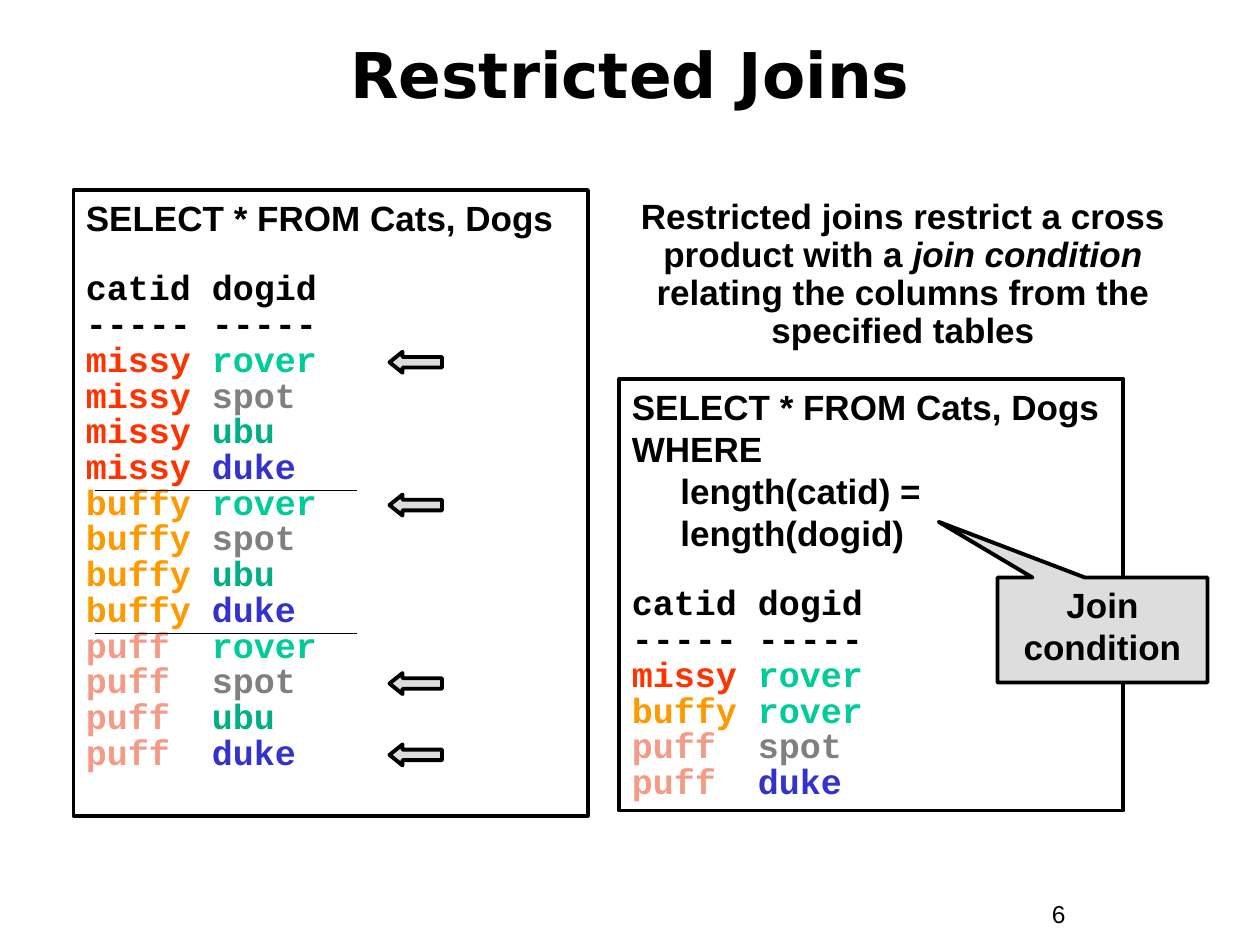
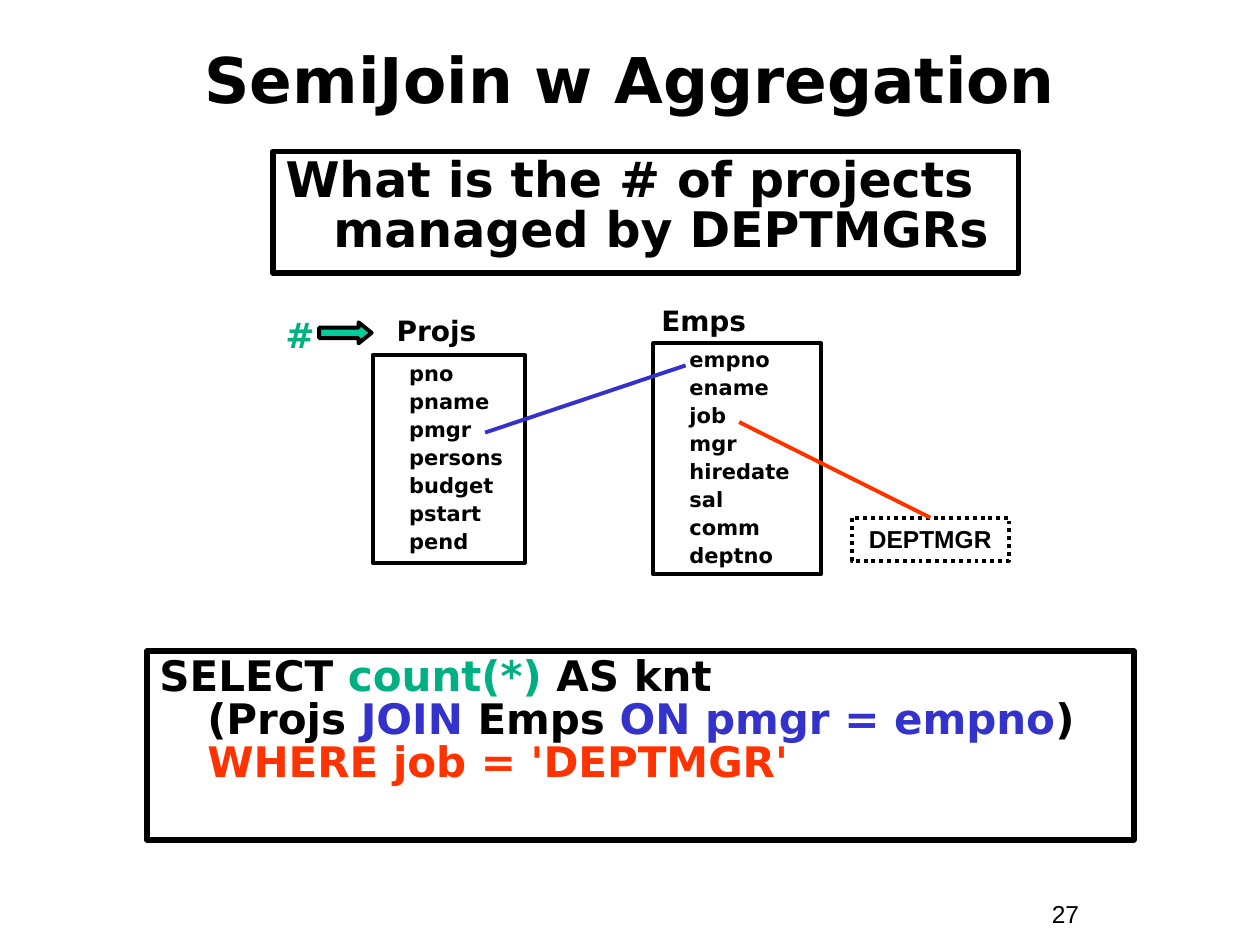
"""Build two slides about restricted joins and semijoins."""
from dataclasses import dataclass
from itertools import product
from typing import NamedTuple, Optional, Union

from lxml.etree import SubElement
from pptx import Presentation
from pptx.dml.color import RGBColor
from pptx.enum.dml import MSO_LINE
from pptx.enum.shapes import MSO_CONNECTOR, MSO_SHAPE
from pptx.enum.text import MSO_ANCHOR, MSO_AUTO_SIZE, PP_ALIGN
from pptx.oxml.ns import qn
from pptx.shapes.autoshape import Shape
from pptx.shapes.connector import Connector
from pptx.slide import Slide
from pptx.text.text import TextFrame
from pptx.util import Inches, Pt

BLACK = RGBColor(0x00, 0x00, 0x00)
RED = RGBColor(0xFF, 0x33, 0x00)
ORANGE = RGBColor(0xFF, 0x99, 0x00)
SALMON = RGBColor(0xF4, 0x9B, 0x86)
MINT = RGBColor(0x00, 0xCC, 0x99)
GRAY = RGBColor(0x80, 0x80, 0x80)
GREEN = RGBColor(0x00, 0xB0, 0x82)
BLUE = RGBColor(0x33, 0x33, 0xCC)
SILVER = RGBColor(0xDD, 0xDD, 0xDD)

SANS, HEADING, MONO = "Arial", "DejaVu Sans", "Courier New"
SLIDE_WIDTH, SLIDE_HEIGHT = Inches(10), Inches(7.5)
GRID_COLUMNS, GRID_ROWS = 120, 90
TITLE_ONLY, TITLE_AND_BODY = 5, 1
DOG_TAB = Inches(1.17)
ROW_PITCH = 3.4

CATS = {"missy": RED, "buffy": ORANGE, "puff": SALMON}
DOGS = {"rover": MINT, "spot": GRAY, "ubu": GREEN, "duke": BLUE}


class Segment(NamedTuple):
    """A stretch of text with its own colour and slant."""

    text: str
    color: RGBColor = BLACK
    italic: bool = False


@dataclass(frozen=True)
class Area:
    """A rectangle measured in grid columns and rows."""

    column: float
    row: float
    columns: float
    rows: float

    def lengths(self) -> tuple[int, int, int, int]:
        """Return left, top, width and height."""
        return (*point(self.column, self.row), *point(self.columns, self.rows))


@dataclass(frozen=True)
class Entity:
    """A database table with its name label and its fields."""

    name: str
    label: Area
    box: Area
    fields: tuple[str, ...]


PROJECTS = Entity("Projs", Area(36.6, 29.6, 16.4, 4.1), Area(35.5, 33.8, 14.5, 19.8),
                  ("pno", "pname", "pmgr", "persons", "budget", "pstart", "pend"))
EMPLOYEES = Entity("Emps", Area(61.8, 28.7, 16.4, 4.1), Area(62.2, 32.7, 16, 22),
                   ("empno", "ename", "job", "mgr", "hiredate", "sal", "comm", "deptno"))


def point(column: float, row: float) -> tuple[int, int]:
    """Turn a grid position into slide lengths."""
    return round(column * SLIDE_WIDTH / GRID_COLUMNS), round(row * SLIDE_HEIGHT / GRID_ROWS)


def write_paragraph(frame: TextFrame, text: Union[str, list[Segment]], *, size: float = 20,
                    font: str = SANS, bold: bool = True, color: RGBColor = BLACK,
                    align: PP_ALIGN = PP_ALIGN.LEFT, spacing: float = 1, before: float = 0,
                    margin: float = 0, hanging: float = 0, tab: Optional[int] = None) -> None:
    """Add one formatted paragraph, filling the empty first one."""
    paragraph = frame.add_paragraph() if frame.text else frame.paragraphs[0]
    properties = paragraph._p.get_or_add_pPr()
    properties.set("marL", str(Inches(margin)))
    properties.set("indent", str(-Inches(hanging)))
    SubElement(properties, qn("a:buNone"))
    if tab:
        SubElement(SubElement(properties, qn("a:tabLst")), qn("a:tab"), pos=str(tab), algn="l")
    paragraph.alignment = align
    paragraph.line_spacing = spacing
    paragraph.space_before = Pt(before)
    for segment in [Segment(text, color)] if isinstance(text, str) else text:
        for index, line in enumerate(segment.text.split("\n")):
            if index:
                paragraph.add_line_break()
            if line:
                run = paragraph.add_run()
                run.text = line
                run.font.name, run.font.size = font, Pt(size)
                run.font.bold, run.font.italic = bold, segment.italic
                run.font.color.rgb = segment.color


def prepare_frame(shape: Shape, anchor: MSO_ANCHOR = MSO_ANCHOR.TOP) -> TextFrame:
    """Make a text frame wrap inside a fixed size."""
    frame = shape.text_frame
    frame.word_wrap = True
    frame.auto_size = MSO_AUTO_SIZE.NONE
    frame.vertical_anchor = anchor
    return frame


def place(shape: Shape, area: Area) -> None:
    """Move a placeholder to an area."""
    shape.left, shape.top, shape.width, shape.height = area.lengths()


def outline(shape: Union[Shape, Connector], width: float = 2.25, color: RGBColor = BLACK) -> None:
    """Give a shape or connector a solid line."""
    shape.line.color.rgb = color
    shape.line.width = Pt(width)


def add_box(slide: Slide, area: Area, kind: MSO_SHAPE = MSO_SHAPE.RECTANGLE, *,
            fill: Optional[RGBColor] = None, width: float = 2.25) -> Shape:
    """Draw an outlined preset shape."""
    shape = slide.shapes.add_shape(kind, *area.lengths())
    shape.shadow.inherit = False
    if fill is None:
        shape.fill.background()
    else:
        shape.fill.solid()
        shape.fill.fore_color.rgb = fill
    outline(shape, width)
    prepare_frame(shape)
    return shape


def add_arrow(slide: Slide, column: float, row: float, kind: MSO_SHAPE, fill: RGBColor) -> None:
    """Draw a small block arrow."""
    arrow = add_box(slide, Area(column, row, 5, 2), kind, fill=fill)
    arrow.adjustments[1] = 0.62


def add_label(slide: Slide, area: Area, text: Union[str, list[Segment]], **text_format) -> None:
    """Add a text box holding one paragraph."""
    box = slide.shapes.add_textbox(*area.lengths())
    write_paragraph(prepare_frame(box), text, **text_format)


def add_line(slide: Slide, start: tuple[float, float], end: tuple[float, float],
             color: RGBColor = BLACK, width: float = 2.25) -> Connector:
    """Draw a straight line between two grid positions."""
    line = slide.shapes.add_connector(MSO_CONNECTOR.STRAIGHT, *point(*start), *point(*end))
    outline(line, width, color)
    SubElement(line._element.spPr, qn("a:effectLst"))
    return line


def add_titled_slide(presentation, layout: int, title: str, title_area: Area, number: int) -> Slide:
    """Add a slide with its page number and title."""
    slide = presentation.slides.add_slide(presentation.slide_layouts[layout])
    add_label(slide, Area(99, 85, 11, 4.1), str(number), size=14, bold=False)
    place(slide.shapes.title, title_area)
    frame = prepare_frame(slide.shapes.title, MSO_ANCHOR.MIDDLE)
    write_paragraph(frame, title, size=36, font=HEADING, align=PP_ALIGN.CENTER)
    return slide


def add_result_panel(slide: Slide, area: Area, query: str, pairs: list[tuple[str, str]]) -> None:
    """Show a query above the rows it returns."""
    frame = add_box(slide, area).text_frame
    write_paragraph(frame, query)
    rows = [[Segment("catid\tdogid")], [Segment("-----\t-----")]]
    rows += [[Segment(f"{cat}\t", CATS[cat]), Segment(dog, DOGS[dog])] for cat, dog in pairs]
    for index, row in enumerate(rows):
        write_paragraph(frame, row, font=MONO, spacing=0.85, tab=DOG_TAB,
                        before=0 if index else 19.5)


def add_entity(slide: Slide, entity: Entity) -> None:
    """Draw a database table as a name over a box of fields."""
    add_label(slide, entity.label, entity.name, size=16, font=HEADING, spacing=0.9)
    frame = prepare_frame(add_box(slide, entity.box), MSO_ANCHOR.MIDDLE)
    for index, field in enumerate(entity.fields):
        write_paragraph(frame, field, size=12, font=HEADING, spacing=0.9, margin=0.19,
                        before=3 if index else 0)


def build_restricted_joins(presentation) -> None:
    """Compare a cross product with a restricted join."""
    slide = add_titled_slide(presentation, TITLE_ONLY, "Restricted Joins", Area(4, 2, 112, 10), 6)
    pairs = list(product(CATS, DOGS))
    matches = [(cat, dog) for cat, dog in pairs if len(cat) == len(dog)]
    query = "SELECT * FROM Cats, Dogs"
    add_result_panel(slide, Area(7, 18.1, 49, 59.6), query, pairs)
    add_result_panel(slide, Area(59, 36.1, 48, 41.1),
                     f"{query}\nWHERE\n     length(catid) =\n     length(dogid)", matches)
    add_label(slide, Area(57, 18.4, 58, 15.6),
              [Segment("Restricted joins restrict a cross product with a "),
               Segment("join condition", italic=True),
               Segment(" relating the columns from the specified tables")],
              align=PP_ALIGN.CENTER, spacing=0.9)
    for match in matches:
        row = 33.5 + ROW_PITCH * pairs.index(match)
        add_arrow(slide, 37.1, row, MSO_SHAPE.LEFT_ARROW, SILVER)
    callout = add_box(slide, Area(95, 55, 20, 10), MSO_SHAPE.RECTANGULAR_CALLOUT, fill=SILVER)
    callout.adjustments[0], callout.adjustments[1] = -0.78, -1.03
    write_paragraph(callout.text_frame, "Join condition", align=PP_ALIGN.CENTER)
    for group in range(1, len(CATS)):
        row = 33.1 + ROW_PITCH * len(DOGS) * group
        add_line(slide, (9, row), (34, row), width=0.25)


def build_semijoin(presentation) -> None:
    """Count the projects whose manager is a department manager."""
    slide = add_titled_slide(presentation, TITLE_AND_BODY, "SemiJoin w Aggregation",
                             Area(4, 4, 112, 7), 27)
    statement = {"font": HEADING, "spacing": 0.85, "margin": 0.38, "hanging": 0.38}
    question = slide.placeholders[1]
    place(question, Area(26, 14.4, 71, 11.6))
    outline(question, 3)
    write_paragraph(prepare_frame(question), "What is the # of projects managed by DEPTMGRs",
                    size=28, **statement)
    query = add_box(slide, Area(14, 62, 94, 18), width=3)
    write_paragraph(query.text_frame,
                    [Segment("SELECT "), Segment("count(*)", GREEN), Segment(" AS knt\n(Projs "),
                     Segment("JOIN", BLUE), Segment(" Emps "), Segment("ON pmgr = empno", BLUE),
                     Segment(")\n"), Segment("WHERE job = 'DEPTMGR'", RED)],
                    size=24, **statement)
    for entity in (EMPLOYEES, PROJECTS):
        add_entity(slide, entity)
    add_line(slide, (65.3, 34.8), (46.2, 41.2), BLUE)
    add_arrow(slide, 30.4, 30.7, MSO_SHAPE.RIGHT_ARROW, MINT)
    job_value = add_box(slide, Area(81.1, 49.3, 15, 4.1))
    job_value.line.dash_style = MSO_LINE.ROUND_DOT
    write_paragraph(job_value.text_frame, "DEPTMGR", size=14, align=PP_ALIGN.CENTER)
    add_line(slide, (70.4, 40.2), (88.6, 49.3), RED).end_connect(job_value, 0)
    add_label(slide, Area(26, 29.9, 5, 4.7), "#", font=HEADING, color=GREEN,
              align=PP_ALIGN.CENTER, spacing=0.85)


def main() -> None:
    """Build and save the presentation."""
    presentation = Presentation()
    presentation.slide_width, presentation.slide_height = SLIDE_WIDTH, SLIDE_HEIGHT
    build_restricted_joins(presentation)
    build_semijoin(presentation)
    presentation.save("out.pptx")


if __name__ == "__main__":
    main()
